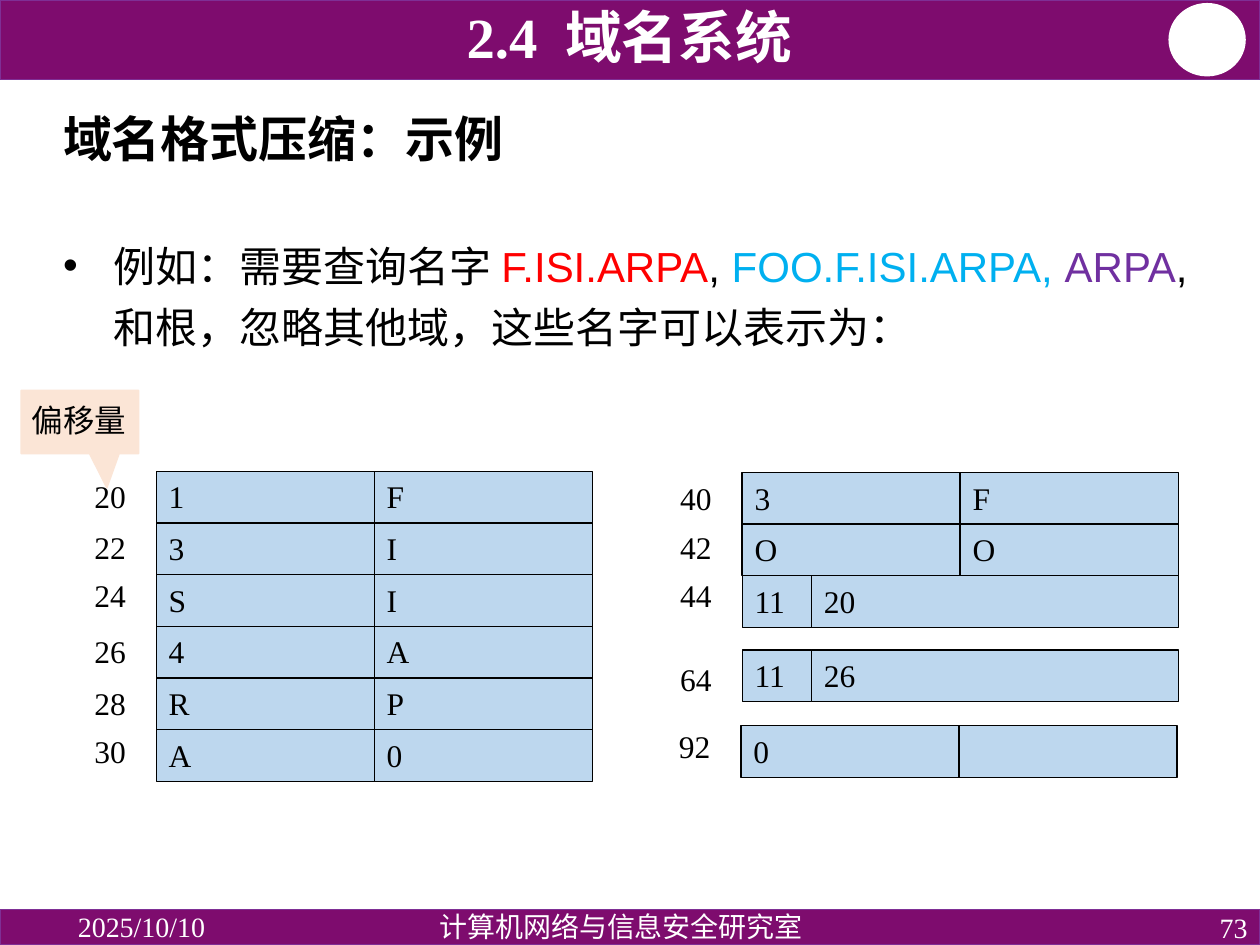
from pptx import Presentation
from pptx.dml.color import RGBColor
from pptx.enum.shapes import MSO_SHAPE
from pptx.enum.text import MSO_ANCHOR, MSO_AUTO_SIZE, PP_ALIGN
from pptx.oxml.ns import qn
from pptx.util import Pt
from lxml import etree

RECT, OVAL, CALLOUT = MSO_SHAPE.RECTANGLE, MSO_SHAPE.OVAL, MSO_SHAPE.RECTANGULAR_CALLOUT
TOP, MIDDLE, BOTTOM = MSO_ANCHOR.TOP, MSO_ANCHOR.MIDDLE, MSO_ANCHOR.BOTTOM
LEFT, CENTER, RIGHT = PP_ALIGN.LEFT, PP_ALIGN.CENTER, PP_ALIGN.RIGHT
SERIF, SANS, CJK = "Times New Roman", "Arial", "Noto Sans CJK SC"
BLACK, WHITE = "000000", "FFFFFF"
PURPLE, EDGE, BLUE, PEACH = "7E0C6E", "7F2F95", "BDD7EE", "FBE5D6"

# Content
CHAPTER = "2.4 域名系统"
TITLE = "域名格式压缩：示例"
BODY = [
    ("例如：需要查询名字", SERIF, BLACK),
    ("F.ISI.ARPA", SANS, "FF0000"),
    (", ", SANS, BLACK),
    ("FOO.F.ISI.ARPA, ", SANS, "00B0F0"),
    ("ARPA", SANS, "7030A0"),
    (", 和根，忽略其他域，这些名字可以表示为：", SANS, BLACK),
]
FOOTER = [  # text, box, alignment, anchor, line spacing
    ("2025/10/10", (37.4, 519.8, 162, 18.7), LEFT, MIDDLE, 1.0),
    ("73", (558, 519.8, 162, 20.2), RIGHT, MIDDLE, 1.0),
    ("计算机网络与信息安全研究室", (193.7, 518.4, 322.6, 20.2), CENTER, TOP, 0.9),
]
CALLOUT_TEXT = "偏移量"

# Message bytes: cell widths, row height and label width
HALF, FLAG, POINTER = 124.6, 39.6, 209.6
ROW_H, LABEL_W = 29.52, 42.5
PAIR, LINK = (HALF, HALF), (FLAG, POINTER)
# Each block: left, top, rows of (offset, label shift, cell widths, cell texts)
BLOCKS = [
    (89.3, 269.3, [
        ("20", 0, PAIR, ("1", "F")),
        ("22", -0.7, PAIR, ("3", "I")),
        ("24", -2.9, PAIR, ("S", "I")),
        ("26", 0, PAIR, ("4", "A")),
        ("28", 0, PAIR, ("R", "P")),
        ("30", -2.2, PAIR, ("A", "0")),
    ]),
    (424.1, 270, [
        ("40", 0, PAIR, ("3", "F")),
        ("42", -1.4, PAIR, ("O", "O")),
        ("44", -3.6, LINK, ("11", "20")),
    ]),
    (424.1, 371.5, [("64", 2.2, LINK, ("11", "26"))]),
    (423.4, 414.7, [("92", -2.9, PAIR, ("0", ""))]),
]


def rgb(hex_color):
    return RGBColor.from_string(hex_color)


def add_run(p, text, size, font=SERIF, color=BLACK, bold=False):
    r = p.add_run()
    r.text = text
    r.font.size, r.font.name, r.font.bold = Pt(size), font, bold
    r.font.color.rgb = rgb(color)
    ea = etree.SubElement(r.font._element, qn("a:ea"))
    ea.set("typeface", CJK)


def setup(sp, anchor=TOP, align=LEFT, spacing=1.0):
    tf = sp.text_frame
    tf.word_wrap = True
    tf.auto_size = MSO_AUTO_SIZE.NONE
    tf.vertical_anchor = anchor
    p = tf.paragraphs[0]
    p.alignment, p.line_spacing, p.space_before = align, spacing, Pt(0)
    return p


def place(sp, box):
    sp.left, sp.top, sp.width, sp.height = map(Pt, box)


def add_box(s, kind, box, fill, line, width=1):
    sp = s.shapes.add_shape(kind, *map(Pt, box))
    sp.shadow.inherit = False
    sp.fill.solid()
    sp.fill.fore_color.rgb = rgb(fill)
    sp.line.color.rgb = rgb(line)
    sp.line.width = Pt(width)
    return sp


def add_text(s, text, box, size, align=LEFT, anchor=TOP, spacing=1.0, **style):
    sp = s.shapes.add_textbox(*map(Pt, box))
    add_run(setup(sp, anchor, align, spacing), text, size, **style)


def add_block(s, left, top, rows):
    for i, (offset, shift, widths, texts) in enumerate(rows):
        x, y = left, top + i * ROW_H
        add_text(s, offset, (x - LABEL_W, y + shift, LABEL_W, 28.8), 18)
        for w, text in zip(widths, texts):
            cell = add_box(s, RECT, (x, y, w, ROW_H), BLUE, BLACK, 0.75)
            if text:
                add_run(setup(cell), text, 18)
            x += w


def main():
    prs = Presentation()
    prs.slide_width, prs.slide_height = Pt(720), Pt(540)
    s = prs.slides.add_slide(prs.slide_layouts[1])

    # Header and footer bands
    add_box(s, RECT, (0, 0, 720, 45.4), PURPLE, EDGE)
    add_box(s, OVAL, (668.2, 2.2, 43.2, 41), WHITE, WHITE)
    add_box(s, RECT, (0, 519.8, 720, 20.2), PURPLE, EDGE)
    add_text(s, CHAPTER, (51.8, 2.9, 615.6, 40.3), 32.4, CENTER, BOTTOM, 0.8,
             color=WHITE, bold=True)
    for text, box, align, anchor, spacing in FOOTER:
        add_text(s, text, box, 16, align, anchor, spacing, color=WHITE)

    # Title and bullet
    title, body = s.shapes.title, s.placeholders[1]
    place(title, (28.8, 48.2, 662.4, 65.5))
    add_run(setup(title, MIDDLE, LEFT, 0.9), TITLE, 28, bold=True)
    place(body, (28.8, 127.4, 661.7, 74.2))
    p = setup(body, spacing=Pt(35))
    pPr = p._p.get_or_add_pPr()
    pPr.set("marL", str(Pt(28.8)))
    pPr.set("indent", str(Pt(-28.8)))
    etree.SubElement(pPr, qn("a:buChar")).set("char", "•")
    for text, font, color in BODY:
        add_run(p, text, 24, font, color)

    # Byte layout with offsets
    for left, top, rows in BLOCKS:
        add_block(s, left, top, rows)

    # Offset callout
    callout = add_box(s, CALLOUT, (12.2, 223.2, 67, 36), PEACH, PEACH)
    callout.adjustments[0], callout.adjustments[1] = 0.23, 1.04
    add_text(s, CALLOUT_TEXT, (9.4, 225.4, 71.3, 29.5), 18, CENTER, font=CJK)

    prs.save("out.pptx")


if __name__ == "__main__":
    main()
